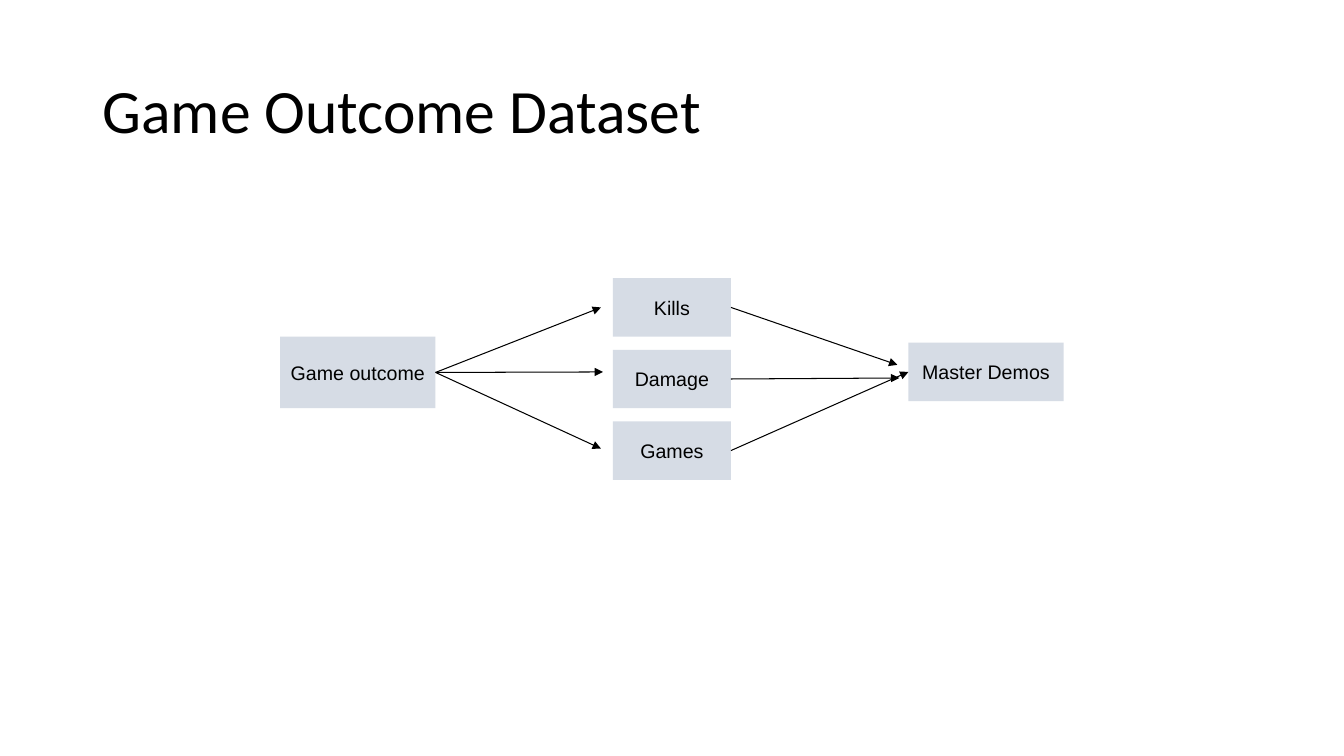
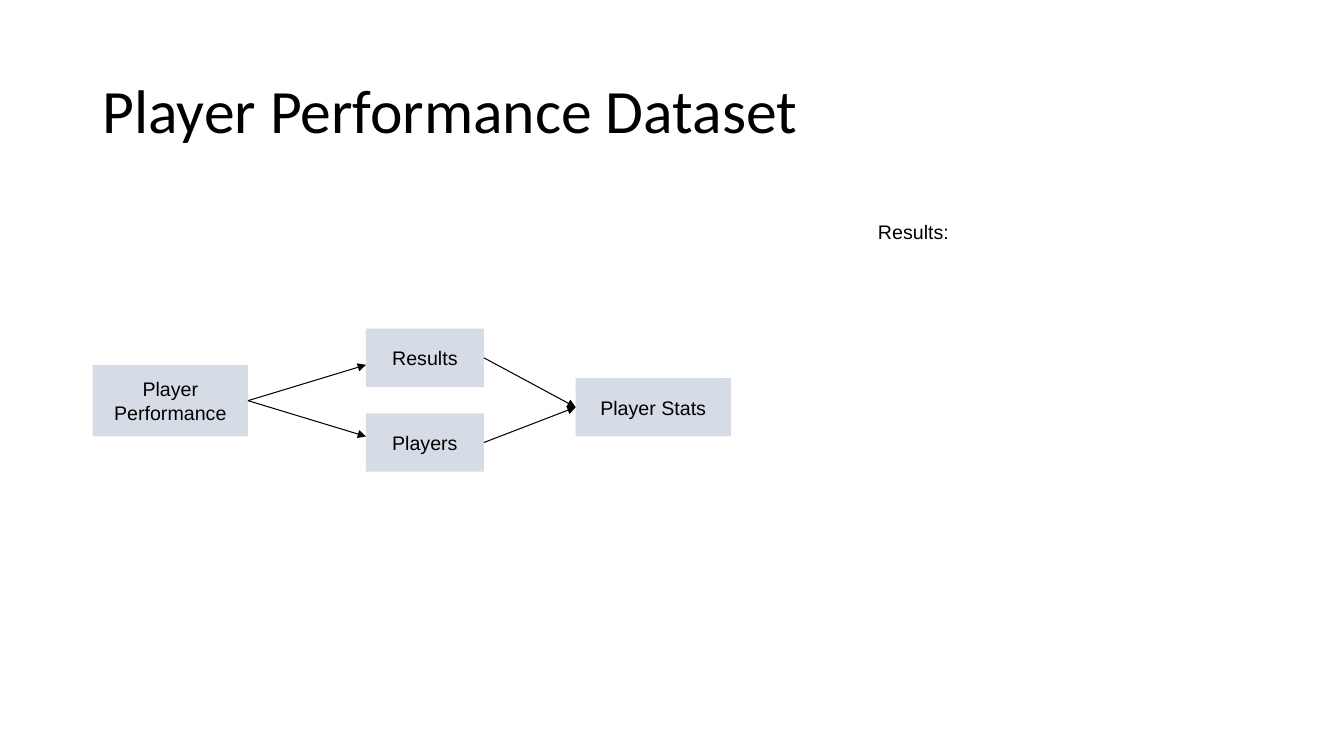
"""Two slides showing how each dataset is joined from its source tables."""
from lxml import etree
from pptx import Presentation
from pptx.dml.color import RGBColor
from pptx.enum.shapes import MSO_CONNECTOR, MSO_SHAPE
from pptx.enum.text import MSO_ANCHOR, PP_ALIGN
from pptx.oxml.ns import qn
from pptx.util import Pt

PX = 9144
BLACK = RGBColor(0x00, 0x00, 0x00)
BOX_FILL = RGBColor(0xD6, 0xDC, 0xE5)
STRAIGHT, RECT = MSO_CONNECTOR.STRAIGHT, MSO_SHAPE.RECTANGLE
MIDDLE, TOP = MSO_ANCHOR.MIDDLE, MSO_ANCHOR.TOP
LEFT, CENTER = PP_ALIGN.LEFT, PP_ALIGN.CENTER
LEFT_SIDE, RIGHT_SIDE = 1, 3

TITLE_AREA = (92, 40, 1150, 145)
WIDE, NARROW = 154, 117
TALL, LOW = 71, 58

SLIDES = [
    {
        "title": "Game Outcome Dataset",
        "source": ("Game outcome", 278, 334),
        "tables": ["Kills", "Damage", "Games"],
        "stack": (608, 276, 71),
        "result": ("Master Demos", 901, 340),
        "into_tables": [(596, 305), (598, 369), (596, 445)],
        "into_result": [(890, 362), (892, 375), None],
        "notes": [],
    },
    {
        "title": "Player Performance Dataset",
        "source": ("Player Performance", 92, 362),
        "tables": ["Results", "Players"],
        "stack": (363, 326, 84),
        "result": ("Player Stats", 571, 375),
        "into_tables": [(363, 362), (363, 433)],
        "into_result": [None, None],
        "notes": [("Results:", 861, 213, 96, 34)],
    },
]


def emu(*lengths):
    return [n * PX for n in lengths]


def write(sp, text, size=14, font="Arial", align=LEFT, anchor=TOP,
          spacing=1.0, wrap=True, inset=10):
    tf = sp.text_frame
    tf.word_wrap = wrap
    tf.vertical_anchor = anchor
    tf.margin_left = tf.margin_right = inset * PX
    tf.margin_top = tf.margin_bottom = 5 * PX
    p = tf.paragraphs[0]
    p.alignment = align
    p.line_spacing = spacing
    r = p.add_run()
    r.text = text
    r.font.size = Pt(size)
    r.font.name = font
    r.font.color.rgb = BLACK


def add_box(s, text, x, y, w, h):
    sp = s.shapes.add_shape(RECT, *emu(x, y, w, h))
    sp.shadow.inherit = False
    sp.fill.solid()
    sp.fill.fore_color.rgb = BOX_FILL
    sp.line.fill.background()
    write(sp, text, align=CENTER, anchor=MIDDLE, inset=5)
    return sp


def add_arrow(s, start, target, point=None):
    """Draw from the right side of start to a point, or to the left side of target."""
    end = emu(*(point or (0, 0)))
    cxn = s.shapes.add_connector(STRAIGHT, 0, 0, *end)
    cxn.begin_connect(start, RIGHT_SIDE)
    if point is None:
        cxn.end_connect(target, LEFT_SIDE)
    cxn.line.color.rgb = BLACK
    cxn.line.width = Pt(0.75)
    etree.SubElement(cxn.line._get_or_add_ln(), qn("a:tailEnd"), type="triangle")
    etree.SubElement(cxn._element.spPr, qn("a:effectLst"))


def add_slide(prs, data):
    s = prs.slides.add_slide(prs.slide_layouts[6])
    title = s.shapes.add_textbox(*emu(*TITLE_AREA))
    write(title, data["title"], size=44, font="Calibri", anchor=MIDDLE, spacing=0.9)

    x, top, pitch = data["stack"]
    source = add_box(s, *data["source"], WIDE, TALL)
    tables = [add_box(s, name, x, top + i * pitch, NARROW, LOW)
              for i, name in enumerate(data["tables"])]
    result = add_box(s, *data["result"], WIDE, LOW)

    for table, point in zip(tables, data["into_tables"]):
        add_arrow(s, source, table, point)
    for table, point in zip(tables, data["into_result"]):
        add_arrow(s, table, result, point)
    for text, *area in data["notes"]:
        write(s.shapes.add_textbox(*emu(*area)), text, wrap=False)


def main():
    prs = Presentation()
    prs.slide_width, prs.slide_height = emu(1333, 750)
    for data in SLIDES:
        add_slide(prs, data)
    prs.save("out.pptx")


if __name__ == "__main__":
    main()
